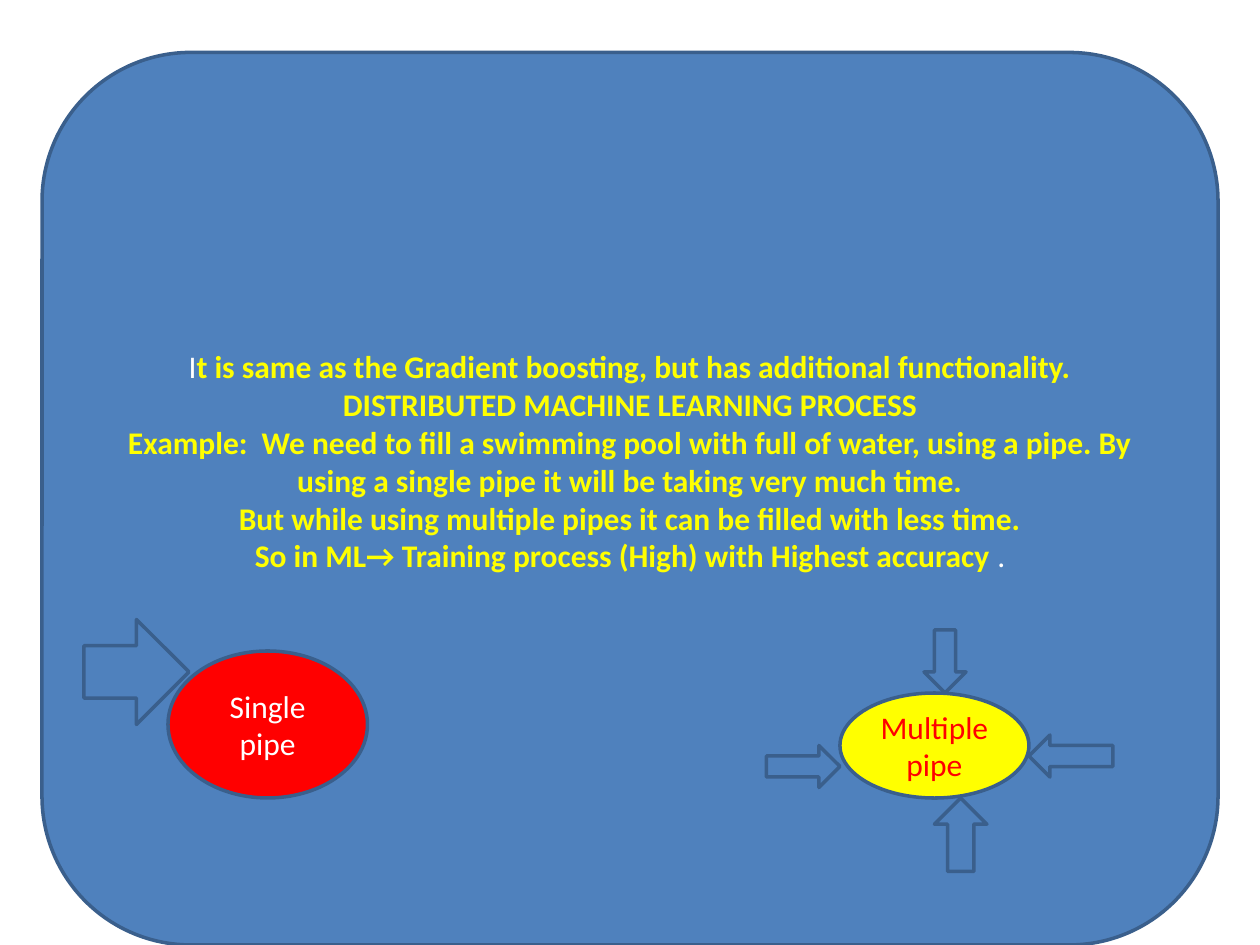
from pptx import Presentation
from pptx import util as u
from pptx.dml.color import RGBColor
from pptx.enum import shapes, text

BLUE = RGBColor(0x4F, 0x81, 0xBD)
EDGE = RGBColor(0x3A, 0x5F, 0x8C)
RED = RGBColor(0xFF, 0x00, 0x00)
YELLOW = RGBColor(0xFF, 0xFF, 0x00)
WHITE = RGBColor(0xFF, 0xFF, 0xFF)
M = shapes.MSO_SHAPE

prs = Presentation()
prs.slide_width, prs.slide_height = u.Inches(10), u.Inches(7.5)
s = prs.slides.add_slide(prs.slide_layouts[6])
COL = prs.slide_width // 120
ROW = prs.slide_height // 90


def add_shape(kind, x, y, w, h, fill):
    sp = s.shapes.add_shape(kind, x * COL, y * ROW, w * COL, h * ROW)
    sp.shadow.inherit = False
    sp.fill.solid()
    sp.fill.fore_color.rgb = fill
    sp.line.color.rgb = EDGE
    sp.line.width = u.Pt(2)
    return sp


def write(sp, lines):
    tf = sp.text_frame
    tf.word_wrap = True
    tf.vertical_anchor = text.MSO_ANCHOR.MIDDLE
    for i, runs in enumerate(lines):
        p = tf.add_paragraph() if i else tf.paragraphs[0]
        p.alignment = text.PP_ALIGN.CENTER
        for words, color, bold in runs:
            r = p.add_run()
            r.text = words
            for key, value in {"name": "Calibri", "size": u.Pt(18), "bold": bold}.items():
                setattr(r.font, key, value)
            r.font.color.rgb = color


panel = add_shape(M.ROUNDED_RECTANGLE, 4, 5, 112, 85, BLUE)
panel.text_frame.margin_bottom = u.Inches(0.65)
write(panel, [
    [("I", WHITE, False),
     ("t is same as the Gradient boosting, but has additional functionality.", YELLOW, True)],
    [("DISTRIBUTED MACHINE LEARNING PROCESS", YELLOW, True)],
    [("Example:  We need to fill a swimming pool with full of water, using a pipe. "
      "By using a single pipe it will be taking very much time.", YELLOW, True)],
    [("But while using multiple pipes it can be filled with less time.", YELLOW, True)],
    [("So in ML→ Training process (High) with Highest accuracy ", YELLOW, True),
     (".", WHITE, False)],
])

pools = [
    ("Single pipe", (16, 62, 19, 14), RED, WHITE,
     [(M.RIGHT_ARROW, 8, 59, 10, 10)]),
    ("Multiple pipe", (80, 66, 18, 10), YELLOW, RED,
     [(M.RIGHT_ARROW, 73, 71, 7, 4),
      (M.DOWN_ARROW, 88, 60, 4, 6),
      (M.LEFT_ARROW, 98, 70, 8, 4),
      (M.UP_ARROW, 89, 76, 5, 7)]),
]
for label, box, fill, color, pipes in pools:
    write(add_shape(M.OVAL, *box, fill), [[(label, color, False)]])
    for pipe in pipes:
        add_shape(*pipe, BLUE)

prs.save("out.pptx")
